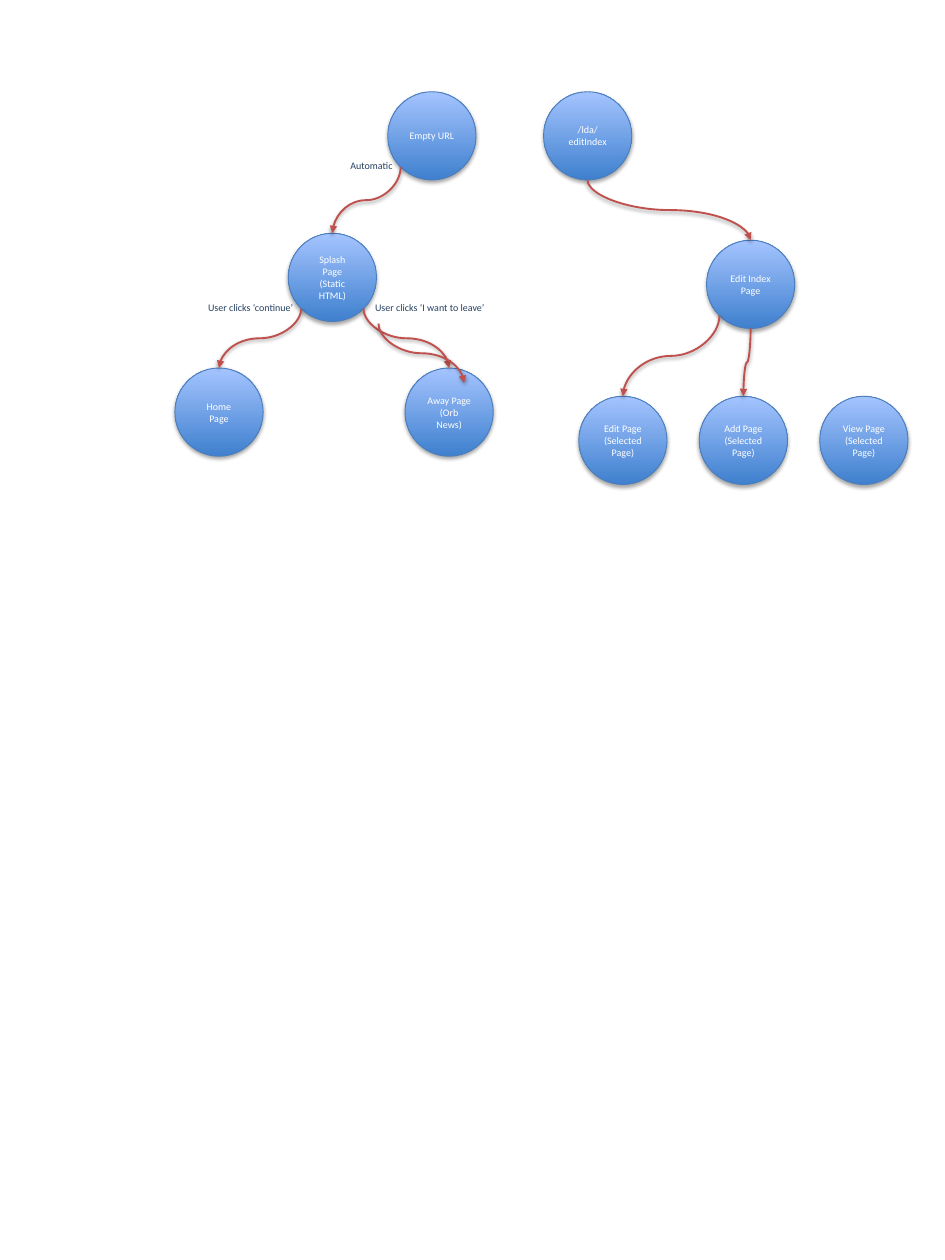
from dataclasses import dataclass

import pptx
import pptx.dml.color
import pptx.enum.shapes
import pptx.enum.text
import pptx.oxml
import pptx.oxml.ns
import pptx.util

Pt = pptx.util.Pt
Align = pptx.enum.text.PP_ALIGN
SIZE = 70.6  # diameter of every circle
DIAG = SIZE / 2 * 0.5 ** 0.5  # centre to a diagonal point of the rim


@dataclass
class Node:
    text: str
    left: float
    top: float

    def spot(self, side: str) -> tuple[float, float]:
        """Point on the rim: top, foot, or the lower left or right."""
        x, y = self.left + SIZE / 2, self.top + SIZE / 2
        dx, dy = {"top": (0, -SIZE / 2), "foot": (0, SIZE / 2),
                  "left": (-DIAG, DIAG), "right": (DIAG, DIAG)}[side]
        return x + dx, y + dy


@dataclass
class Link:
    start: Node
    side: str
    end: Node
    shift: float = 0


@dataclass
class Label:
    text: str
    left: float
    top: float
    align: Align


def colour(code: str) -> pptx.dml.color.RGBColor:
    return pptx.dml.color.RGBColor.from_string(code)


def write(frame, text: str, *, ink: str, align: Align, size: float = 8) -> None:
    frame.word_wrap = True
    para = frame.paragraphs[0]
    para.alignment = align
    run = para.add_run()
    run.text = text
    run.font.name = "Calibri"
    run.font.size = Pt(size)
    run.font.color.rgb = colour(ink)


def shade(shape, gap: float, alpha: int) -> None:
    """Give a shape or connector a soft shadow straight below it."""
    shape._element.spPr.append(pptx.oxml.parse_xml(
        f'<a:effectLst {pptx.oxml.ns.nsdecls("a")}>'
        f'<a:outerShdw blurRad="{Pt(3.15)}" dist="{Pt(gap)}" dir="5400000" rotWithShape="0">'
        f'<a:srgbClr val="000000"><a:alpha val="{alpha * 1000}"/></a:srgbClr>'
        '</a:outerShdw></a:effectLst>'))


def draw_node(shapes, node: Node) -> None:
    disc = shapes.add_shape(pptx.enum.shapes.MSO_SHAPE.OVAL,
                            Pt(node.left), Pt(node.top), Pt(SIZE), Pt(SIZE))
    disc.fill.gradient()
    disc.fill.gradient_angle = 90
    for stop, code in zip(disc.fill.gradient_stops, ("3F80CE", "A4C4FF")):
        stop.color.rgb = colour(code)
    disc.line.color.rgb = colour("4B7EBC")
    disc.line.width = Pt(0.75)
    shade(disc, 1.8, 35)
    disc.text_frame.vertical_anchor = pptx.enum.text.MSO_ANCHOR.MIDDLE
    write(disc.text_frame, node.text, ink="FFFFFF", align=Align.CENTER)


def draw_link(shapes, link: Link) -> None:
    """Draw a curve that leaves and arrives upright, by a quarter turn."""
    (x1, y1), (x2, y2) = link.start.spot(link.side), link.end.spot("top")
    midx, midy = (x1 + x2) / 2 + link.shift, (y1 + y2) / 2 + link.shift
    wide, high = (y2 - y1) / 2, abs(x2 - x1) / 2
    right = x2 > x1
    if right:
        wide = -wide
    curve = shapes.add_connector(
        pptx.enum.shapes.MSO_CONNECTOR.CURVE,
        Pt(midx - wide), Pt(midy - high), Pt(midx + wide), Pt(midy + high))
    props = curve._element.spPr
    props.find(pptx.oxml.ns.qn("a:xfrm")).set("rot", "16200000" if right else "5400000")
    curve.line.color.rgb = colour("C0504D")
    curve.line.width = Pt(1.5)
    props.find(pptx.oxml.ns.qn("a:ln")).append(pptx.oxml.parse_xml(
        f'<a:tailEnd {pptx.oxml.ns.nsdecls("a")} type="triangle"/>'))
    shade(curve, 1.6, 38)


def draw_label(shapes, label: Label) -> None:
    box = shapes.add_textbox(Pt(label.left), Pt(label.top), Pt(136), Pt(17))
    write(box.text_frame, label.text, ink="254061", align=label.align)
    box.text_frame.auto_size = pptx.enum.text.MSO_AUTO_SIZE.SHAPE_TO_FIT_TEXT


def main() -> None:
    deck = pptx.Presentation()
    deck.slide_width, deck.slide_height = Pt(756), Pt(1008)
    shapes = deck.slides.add_slide(deck.slide_layouts[6]).shapes

    empty = Node("Empty URL", 310.2, 73.4)
    splash = Node("Splash Page (Static HTML)", 230.6, 186.6)
    home = Node("Home Page", 139.9, 294.4)
    away = Node("Away Page (Orb News)", 324, 294.4)
    lda = Node("/lda/editIndex", 434.8, 73.4)
    index = Node("Edit Index Page", 565.2, 192.2)
    edit, add, view = (Node(f"{verb} Page (Selected Page)", 463 + 96.4 * i, 317)
                       for i, verb in enumerate(("Edit", "Add", "View")))

    for node in (empty, splash, home, away, lda, index, edit, add, view):
        draw_node(shapes, node)
    for link in (Link(empty, "left", splash),
                 Link(splash, "left", home),
                 Link(splash, "right", away),
                 Link(lda, "foot", index),
                 Link(splash, "right", away, shift=12),
                 Link(index, "foot", add),
                 Link(index, "left", edit)):
        draw_link(shapes, link)
    for label in (Label("Automatic", 185.2, 124, Align.RIGHT),
                  Label("User clicks ‘continue’", 105.8, 237.6, Align.RIGHT),
                  Label("User clicks ‘I want to leave’", 293, 237.6, Align.LEFT)):
        draw_label(shapes, label)
    deck.save("out.pptx")


if __name__ == "__main__":
    main()
